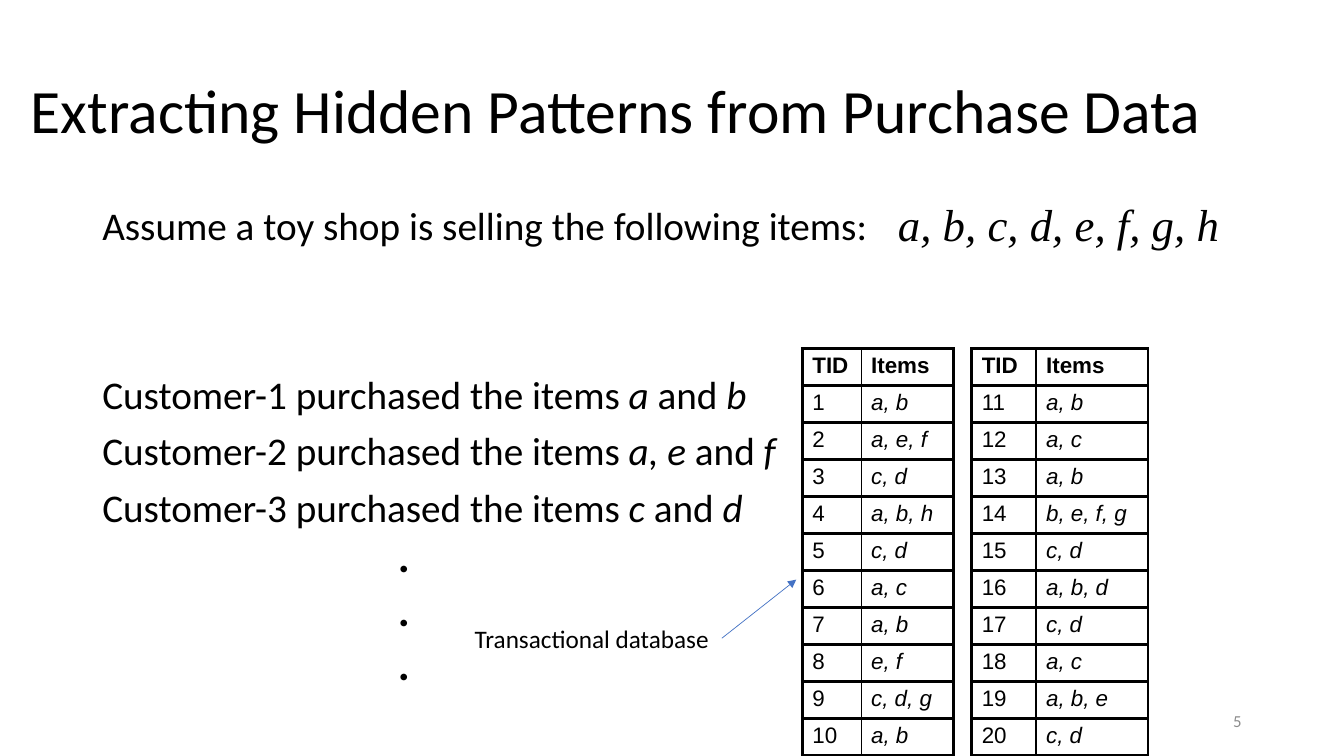
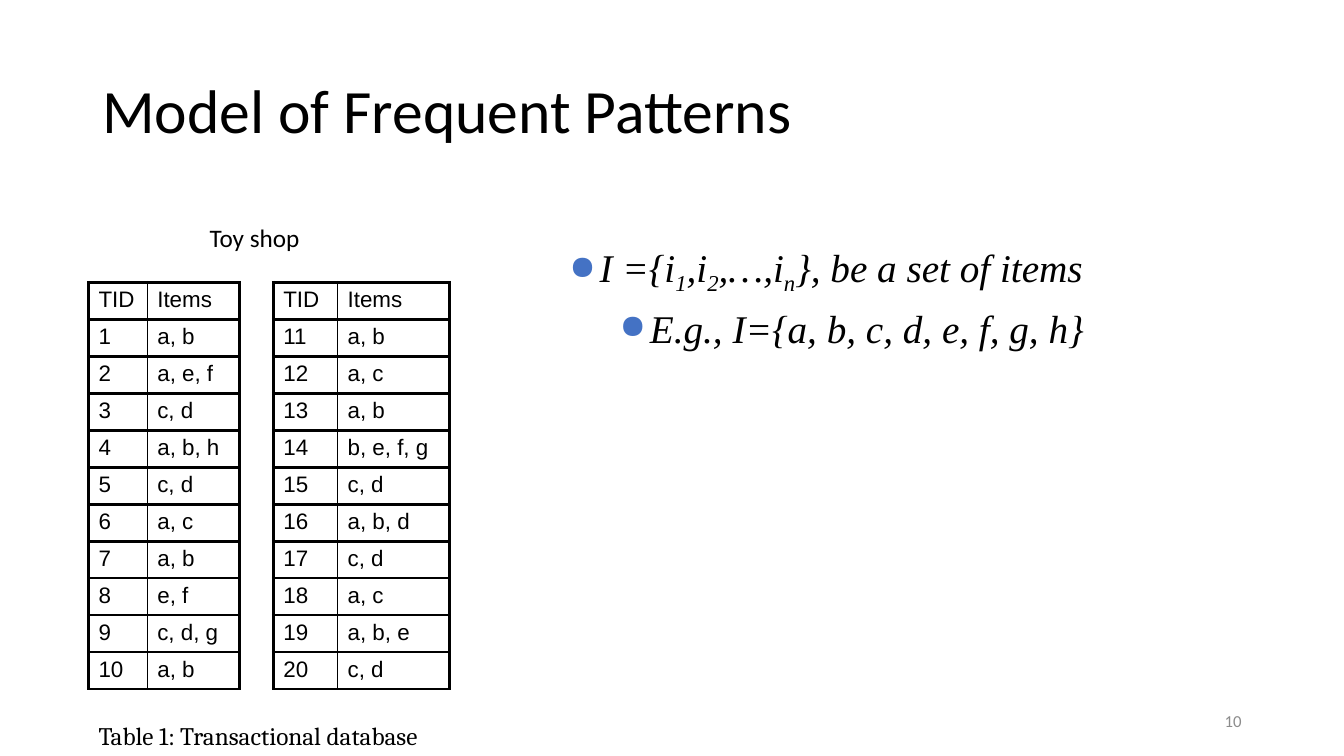
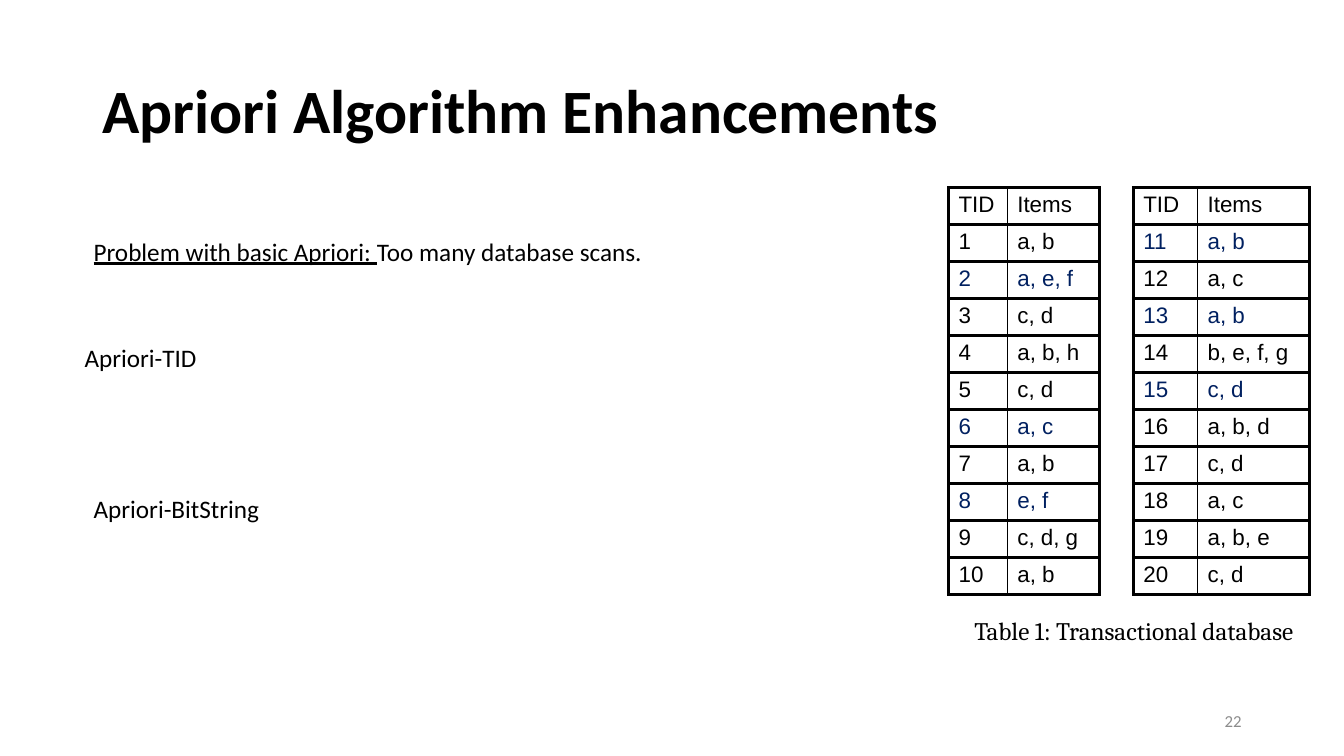
"""Build three slides on frequent patterns in toy shop transactions."""
from dataclasses import dataclass

from lxml import etree
from pptx import Presentation
from pptx import util as u
from pptx.dml.color import RGBColor
from pptx.enum import shapes, text
from pptx.oxml.ns import qn

Pt = u.Pt
BLACK = RGBColor(0x00, 0x00, 0x00)
WHITE = RGBColor(0xFF, 0xFF, 0xFF)
GREY = RGBColor(0x8C, 0x8C, 0x8C)
BLUE = RGBColor(0x44, 0x72, 0xC4)
NAVY = RGBColor(0x00, 0x20, 0x60)

ROW_H = 26.44
THICK, THIN = 2.25, 1
ITEMS = ("a, b", "a, e, f", "c, d", "a, b, h", "c, d", "a, c", "a, b", "e, f", "c, d, g", "a, b",
         "a, b", "a, c", "a, b", "b, e, f, g", "c, d", "a, b, d", "c, d", "a, c", "a, b, e", "c, d")
HALF = len(ITEMS) // 2
COLUMNS = ((42, 66), (46, 80))


@dataclass(frozen=True)
class Label:
    """Text box whose pieces between bars carry the given mark."""
    text: str
    left: float
    top: float
    width: float
    height: float = 29
    size: float = 18
    font: str = "Calibri"
    color: RGBColor = BLACK
    bold: bool = False
    italic: bool = False
    mark: str = ""
    wrap: bool = True
    grow: bool = False
    line_spacing: float = 1
    anchor: text.MSO_ANCHOR = text.MSO_ANCHOR.TOP
    align: text.PP_ALIGN = text.PP_ALIGN.LEFT


@dataclass(frozen=True)
class Ledger:
    """Pair of transaction tables standing side by side."""
    left: float
    top: float
    gap: float
    styled: bool = False
    highlighted: tuple[int, ...] = ()


def format_run(r, size: float, font: str, color: RGBColor, bold: bool, italic: bool) -> None:
    """Set the font of one run."""
    r.font.size = Pt(size)
    r.font.name = font
    r.font.color.rgb = color
    r.font.bold = bold
    r.font.italic = italic


def draw_label(s, label: Label):
    """Draw a text box and return it."""
    sp = s.shapes.add_textbox(Pt(label.left), Pt(label.top), Pt(label.width), Pt(label.height))
    tf = sp.text_frame
    tf.word_wrap = label.wrap
    tf.vertical_anchor = label.anchor
    tf.auto_size = text.MSO_AUTO_SIZE.SHAPE_TO_FIT_TEXT if label.grow else text.MSO_AUTO_SIZE.NONE
    for i, line in enumerate(label.text.split("\n")):
        p = tf.add_paragraph() if i else tf.paragraphs[0]
        p.alignment = label.align
        p.line_spacing = label.line_spacing
        for k, piece in enumerate(line.split("|")):
            if not piece:
                continue
            r = p.add_run()
            r.text = piece
            format_run(r, label.size, label.font, label.color, label.bold, label.italic)
            if k % 2 and label.mark == "italic":
                r.font.italic = True
            elif k % 2 and label.mark == "underline":
                r.font.underline = True
            elif k % 2 and label.mark == "subscript":
                r.font._element.set("baseline", "-25000")
    return sp


def start_slide(prs, title: str, number: int, left: float = 66, width: float = 828,
                bold: bool = False):
    """Add a slide with its title and number."""
    s = prs.slides.add_slide(prs.slide_layouts[6])
    draw_label(s, Label(title, left, 28.75, width, 104.4, 44, bold=bold, line_spacing=0.9,
                        anchor=text.MSO_ANCHOR.MIDDLE))
    draw_label(s, Label(str(number), 678, 500.5, 216, 28.75, 12, color=GREY,
                        anchor=text.MSO_ANCHOR.MIDDLE, align=text.PP_ALIGN.RIGHT))
    return s


def set_borders(cell, left: float, right: float) -> None:
    """Give a cell black borders, thick at top and bottom."""
    tcPr = cell._tc.get_or_add_tcPr()
    widths = {"lnL": left, "lnR": right, "lnT": THICK, "lnB": THICK}
    for i, (tag, width) in enumerate(widths.items()):
        ln = etree.Element(qn(f"a:{tag}"), w=str(Pt(width)))
        fill = etree.SubElement(ln, qn("a:solidFill"))
        etree.SubElement(fill, qn("a:srgbClr"), val=str(BLACK))
        tcPr.insert(i, ln)


def draw_ledger(s, ledger: Ledger) -> None:
    """Draw the two halves of the transaction list."""
    left = ledger.left
    for half, widths in enumerate(COLUMNS):
        frame = s.shapes.add_table(HALF + 1, 2, Pt(left), Pt(ledger.top),
                                   Pt(sum(widths)), Pt(ROW_H * (HALF + 1)))
        table = frame.table
        table.first_row = table.horz_banding = False
        for column, width in zip(table.columns, widths):
            column.width = Pt(width)
        for i, row in enumerate(table.rows):
            row.height = Pt(ROW_H)
            tid = half * HALF + i
            values = (str(tid), ITEMS[tid - 1]) if i else ("TID", "Items")
            color = NAVY if i and tid in ledger.highlighted else BLACK
            for k, value in enumerate(values):
                cell = table.cell(i, k)
                cell.text = value
                format_run(cell.text_frame.paragraphs[0].runs[0], 16, "Arial", color,
                           ledger.styled and i == 0, ledger.styled and i > 0 and k == 1)
                if i:
                    cell.fill.solid()
                    cell.fill.fore_color.rgb = WHITE
                else:
                    cell.fill.background()
                set_borders(cell, *((THIN, THICK) if k else (THICK, THIN)))
        left += sum(widths) + ledger.gap


def draw_arrow(s, source, x: float, y: float) -> None:
    """Draw an arrow from the right side of a box to a point."""
    start_x, start_y = source.left + source.width, source.top + source.height // 2
    line = s.shapes.add_connector(shapes.MSO_CONNECTOR.STRAIGHT, start_x, start_y, Pt(x), Pt(y))
    line.begin_connect(source, 3)
    line.line.color.rgb = BLUE
    line.line.width = Pt(0.5)
    etree.SubElement(line.line._get_or_add_ln(), qn("a:tailEnd"), type="triangle")
    etree.SubElement(line._element.spPr, qn("a:effectLst"))


def set_bullet(p, indent: float) -> None:
    """Give a paragraph a hanging blue dot."""
    pPr = p._p.get_or_add_pPr()
    pPr.set("marL", str(Pt(indent)))
    pPr.set("indent", str(Pt(-21.6)))
    color = etree.SubElement(pPr, qn("a:buClr"))
    etree.SubElement(color, qn("a:srgbClr"), val=str(BLUE))
    etree.SubElement(pPr, qn("a:buSzPct"), val="85000")
    etree.SubElement(pPr, qn("a:buChar"), char="●")


def draw_caption(s, left: float, top: float) -> None:
    """Draw the table caption."""
    draw_label(s, Label("Table 1: Transactional database", left, top, 270.7,
                        font="Cambria", grow=True))


def purchase_slide(prs) -> None:
    """Draw the purchase data slide."""
    s = start_slide(prs, "Extracting Hidden Patterns from Purchase Data", 5, 15, 879)
    body = draw_label(s, Label(
        "Assume a toy shop is selling the following items:\n"
        "Customer-1 purchased the items |a| and |b\n"
        "Customer-2 purchased the items |a, e |and| f\n"
        "Customer-3 purchased the items |c |and| d",
        66, 144, 828, 342.7, 28, mark="italic", line_spacing=0.9))
    for p, gap in zip(body.text_frame.paragraphs, (10, 90.6, 10, 10)):
        p.space_before = Pt(gap)
    draw_label(s, Label("a, b, c, d, e, f, g, h", 634.3, 136.8, 306.7, 46, 32,
                        "Times New Roman", italic=True, grow=True))
    draw_label(s, Label(".\n.\n.", 277.2, 373.7, 23, 123.8, 32, bold=True, wrap=False, grow=True))
    draw_ledger(s, Ledger(573.1, 249.1, 13, styled=True))
    name = draw_label(s, Label("Transactional database", 332, 441.4, 183.6, wrap=False, grow=True))
    draw_arrow(s, name, 568.8, 414)


def model_slide(prs) -> None:
    """Draw the frequent pattern model slide."""
    s = start_slide(prs, "Model of Frequent Patterns", 10)
    draw_ledger(s, Ledger(63.2, 201.6, 24))
    draw_caption(s, 63.4, 511.2)
    body = draw_label(s, Label(
        "I ={i|1|,i|2|,…,i|n|}, be a set of items\nE.g., I={a, b, c, d, e, f, g, h}",
        399.6, 170, 560, 408, 28, "Times New Roman", italic=True, mark="subscript"))
    for level, p in enumerate(body.text_frame.paragraphs):
        p.level = level
        p.space_before = Pt(5.8)
        set_bullet(p, 21.6 + 36 * level)
    draw_label(s, Label("Toy shop", 142.6, 155.5, 79.2, wrap=False, grow=True))


def enhancement_slide(prs) -> None:
    """Draw the algorithm enhancements slide."""
    s = start_slide(prs, "Apriori Algorithm Enhancements", 22, bold=True)
    for label in (
        Label("|Problem with basic Apriori: |Too many database scans.", 59.8, 164.9, 410.4,
              mark="underline", wrap=False, grow=True),
        Label("Apriori-TID", 53.3, 241.2, 95, wrap=False, grow=True),
        Label("Apriori-BitString", 59.8, 348.5, 133.9, wrap=False, grow=True),
    ):
        draw_label(s, label)
    draw_caption(s, 689, 436.3)
    draw_ledger(s, Ledger(677.5, 133.9, 24, highlighted=(2, 6, 8, 11, 13, 15)))


def main() -> None:
    """Build and save the presentation."""
    prs = Presentation()
    prs.slide_width, prs.slide_height = Pt(960), Pt(540)
    purchase_slide(prs)
    model_slide(prs)
    enhancement_slide(prs)
    prs.save("out.pptx")


if __name__ == "__main__":
    main()
